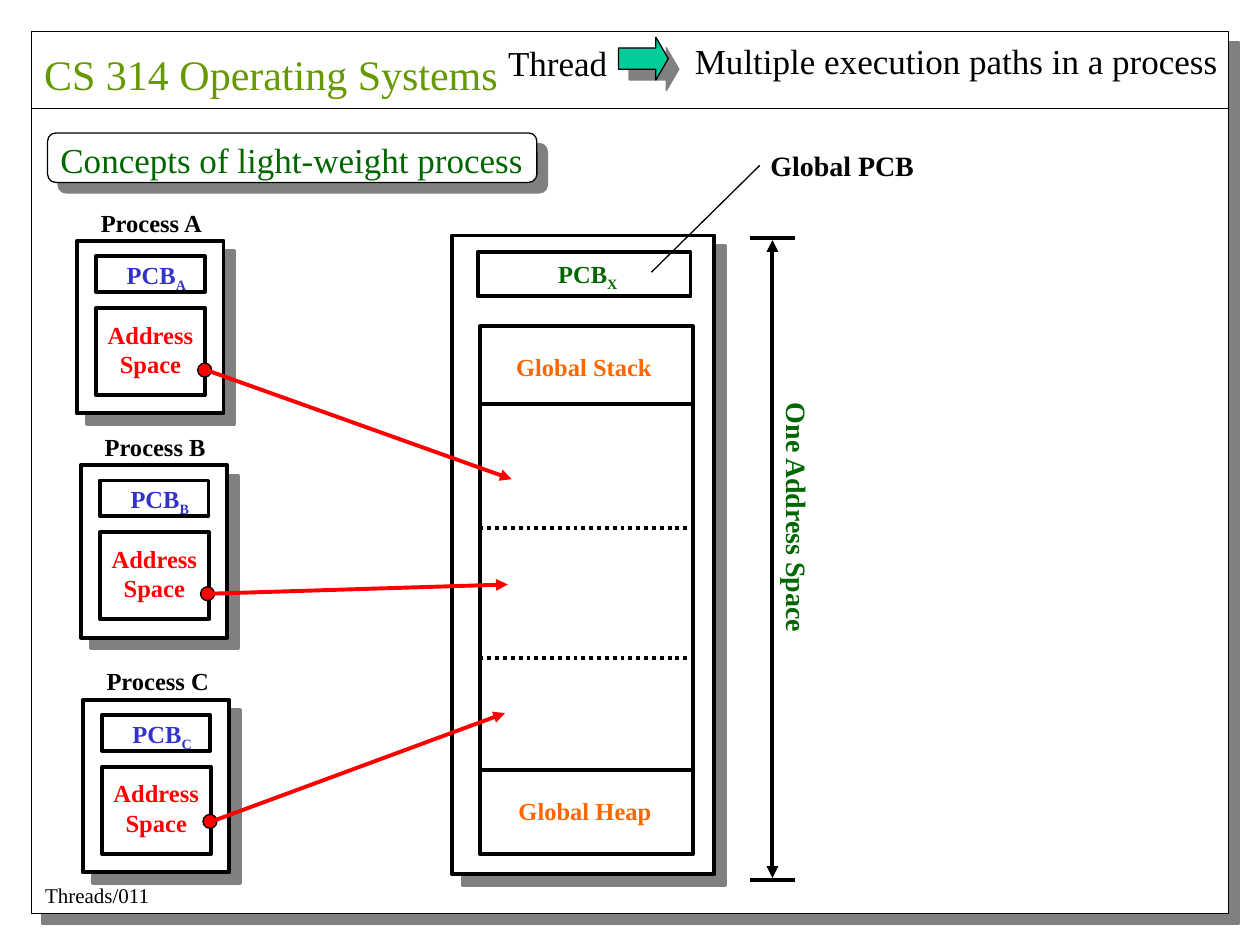
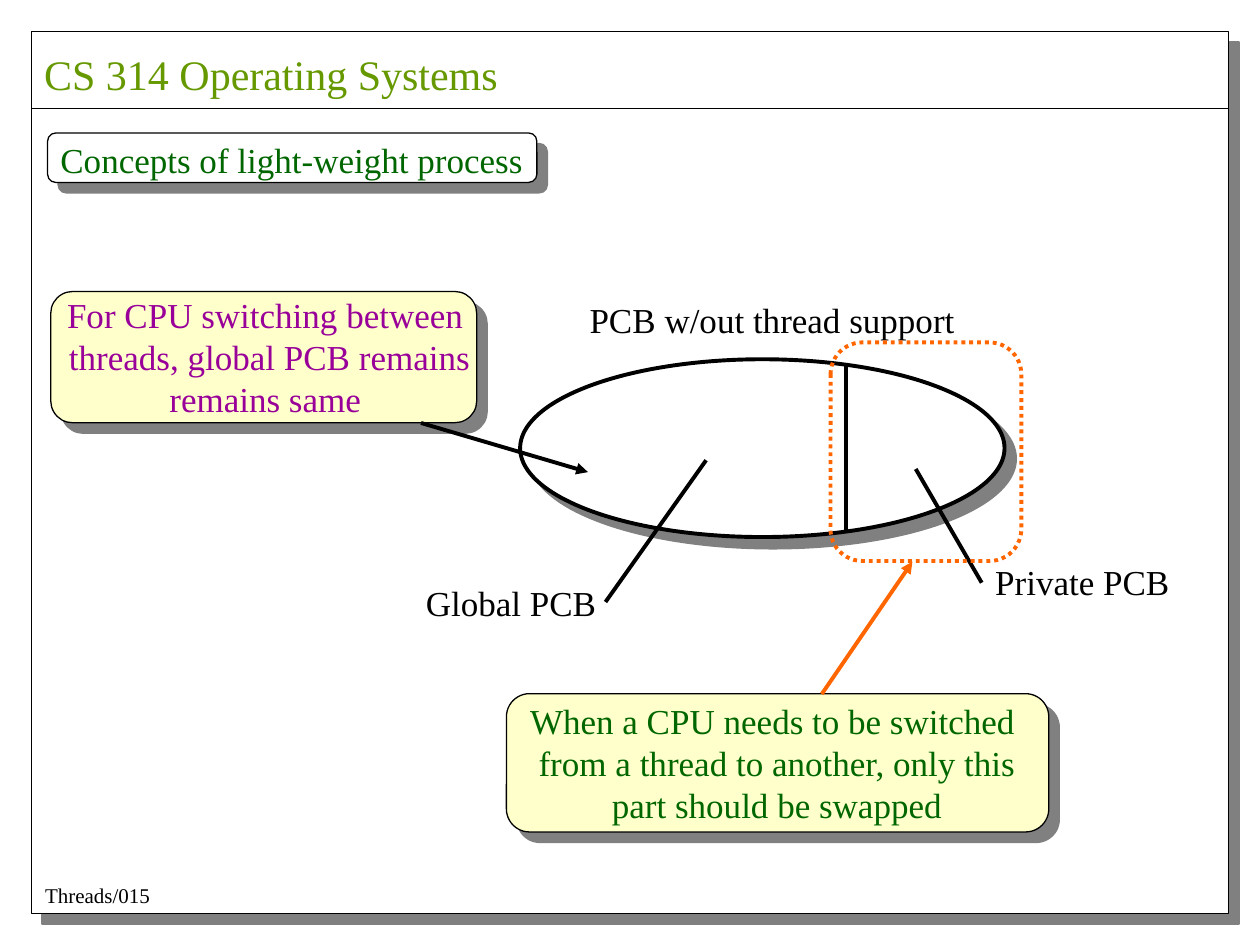
"""Build two operating-systems slides on light-weight processes."""
from dataclasses import dataclass

from lxml.etree import SubElement
from pptx import Presentation
from pptx.dml.color import RGBColor
from pptx.enum.dml import MSO_LINE
from pptx.enum.shapes import MSO_CONNECTOR, MSO_SHAPE as SHAPE
from pptx.enum.text import MSO_ANCHOR, MSO_AUTO_SIZE, PP_ALIGN as ALIGN
from pptx.oxml.ns import qn
from pptx.util import Pt


@dataclass(frozen=True)
class Theme:
    font: str = "Times New Roman"
    black: str = "000000"
    white: str = "FFFFFF"
    shadow: str = "808080"
    olive: str = "669900"
    green: str = "006600"
    teal: str = "00CC99"
    blue: str = "3333CC"
    red: str = "FF0000"
    orange: str = "FF6600"
    purple: str = "990099"
    cream: str = "FFFFCC"
    title: int = 24
    body: int = 20
    label: int = 16
    small: int = 14
    footer: int = 12
    thin: float = 0.75
    thick: float = 2.25
    shadow_offset: float = 8.5


THEME = Theme()
COURSE = "CS 314 Operating Systems"
TOPIC = "Concepts of light-weight process"
FRAME = (18, 18, 684, 504)
HEADER_Y = 62

PROCESSES = [
    {"name": "A", "corner": (44, 137.7), "link": ((118, 211.5), (292.4, 273.8))},
    {"name": "B", "corner": (46.2, 265.8), "link": ((119.6, 339.3), (290.2, 334))},
    {"name": "C", "corner": (47.3, 399.9), "link": ((121, 469.4), (288.6, 407.5))},
]
SPACE_LINES = ["Address", "Space"]
DOT = 8

MEMORY = (258.3, 134.6, 150, 365)
MEMORY_PCB = (272.9, 144, 121.7, 25.4)
MEMORY_SPACE = (274.3, 186.5, 121.7, 301.7)
DIVIDER_X = (274, 394.6)
DIVIDERS = [(231.1, None), (301.7, MSO_LINE.ROUND_DOT),
            (375.8, MSO_LINE.ROUND_DOT), (439.9, None)]
SECTIONS = [("Global Stack", (287.8, 197.5, 100, 24.2)),
            ("Global Heap", (289.2, 451.2, 100, 24.2))]
SPAN_X, SPAN_TOP, SPAN_BOTTOM, TICK = 441.4, 136.2, 502.7, 26

SWITCH_NOTE = ["For CPU switching between", " threads, global PCB remains", "remains same"]
SWAP_NOTE = ["When a CPU needs to be switched ", "from a thread to another, only this",
             "part should be swapped"]
NOTES = [
    (SWITCH_NOTE, THEME.purple, (29, 166.6, 243.4, 75), (21.6, 164.2, 260, 79.2)),
    (SWAP_NOTE, THEME.green, (289.4, 396.4, 309.9, 79), (289, 396, 310, 79.2)),
]
PCB_LABELS = [
    ("PCB w/out thread support", (329.8, 167, 230, 31.7)),
    ("Global PCB", (236.2, 328.5, 120, 31.7)),
    ("Private PCB", (561.6, 317, 120, 31.7)),
]
PCB_LINES = [
    ((483.4, 208.5), (483.4, 304)),
    ((346, 344), (403.5, 263)),
    ((561, 333), (523.3, 268)),
]


def rgb(color):
    """Turn a hex string into a colour."""
    return RGBColor.from_string(color)


def points(values):
    """Turn numbers into point lengths."""
    return [Pt(value) for value in values]


def shifted(corner, offset, size):
    """Return the box of a part placed relative to a corner."""
    return (corner[0] + offset[0], corner[1] + offset[1], *size)


def write(frame, lines, size, color, bold=False, align=ALIGN.LEFT, subscript=None):
    """Fill a text frame, one paragraph a line."""
    frame.word_wrap = False
    frame.auto_size = MSO_AUTO_SIZE.SHAPE_TO_FIT_TEXT
    frame.vertical_anchor = MSO_ANCHOR.TOP
    for index, line in enumerate(lines):
        paragraph = frame.add_paragraph() if index else frame.paragraphs[0]
        paragraph.alignment = align
        for text in filter(None, (line, subscript)):
            run = paragraph.add_run()
            run.text = text
            run.font.name = THEME.font
            run.font.size = Pt(size)
            run.font.bold = bold
            run.font.color.rgb = rgb(color)
            if text == subscript:
                run.font._element.set("baseline", "-25000")


def add_text(slide, box, lines, size, color=THEME.black, **style):
    """Add a text box and return it."""
    textbox = slide.shapes.add_textbox(*points(box))
    write(textbox.text_frame, lines, size, color, **style)
    return textbox


def add_box(slide, box, kind=SHAPE.RECTANGLE, fill=THEME.white, line=THEME.black,
            width=THEME.thick, shadow=False):
    """Add a filled outline, with a hard shadow if asked; return it."""
    shape = slide.shapes.add_shape(kind, *points(box))
    if fill:
        shape.fill.solid()
        shape.fill.fore_color.rgb = rgb(fill)
    else:
        shape.fill.background()
    shape.line.color.rgb = rgb(line)
    shape.line.width = Pt(width)
    shape.shadow.inherit = False
    if shadow:
        effects = shape._element.spPr.find(qn("a:effectLst"))
        outer = SubElement(effects, qn("a:outerShdw"), dist=str(Pt(THEME.shadow_offset)),
                           dir="2700000", algn="ctr", rotWithShape="0")
        SubElement(outer, qn("a:srgbClr"), val=THEME.shadow)
    return shape


def add_line(slide, start, end, color=THEME.black, width=THEME.thick, dash=None, arrows=()):
    """Add a straight line, with arrowheads at the named ends."""
    connector = slide.shapes.add_connector(MSO_CONNECTOR.STRAIGHT, *points((*start, *end)))
    connector.line.color.rgb = rgb(color)
    connector.line.width = Pt(width)
    if dash:
        connector.line.dash_style = dash
    for arrow in arrows:
        SubElement(connector.line._get_or_add_ln(), qn(f"a:{arrow}"), type="triangle")
    SubElement(connector._element.spPr, qn("a:effectLst"))


def add_base(deck, footer):
    """Add a slide with the shared frame, title, topic and footer."""
    slide = deck.slides.add_slide(deck.slide_layouts[5])
    left, _, width, _ = FRAME
    add_box(slide, FRAME, width=THEME.thin, shadow=True)
    add_line(slide, (left, HEADER_Y), (left + width, HEADER_Y), width=THEME.thin)
    title = slide.shapes.title
    title.left, title.top, title.width, title.height = points((18, 24, 290, 36))
    write(title.text_frame, [COURSE], THEME.title, THEME.olive)
    slide.shapes._spTree.append(title._element)
    add_text(slide, (18.7, 500.7, 80, 21.6), [footer], THEME.footer)
    add_box(slide, (27.2, 76, 279.6, 28.3), SHAPE.ROUNDED_RECTANGLE,
            width=THEME.thin, shadow=True)
    add_text(slide, (27.4, 75.8, 290, 31.7), [TOPIC], THEME.body, THEME.green)
    return slide


def add_process(slide, name, corner):
    """Draw one process with its PCB and address space."""
    add_box(slide, (*corner, 83.8, 98.6), shadow=True)
    add_box(slide, shifted(corner, (10.8, 8.8), (62.2, 20.2)))
    add_box(slide, shifted(corner, (11, 38.4), (62.2, 49.7)))
    add_text(slide, shifted(corner, (21.3, 7.2), (54, 26.6)), ["PCB"], THEME.small,
             THEME.blue, bold=True, subscript=name)
    add_text(slide, shifted(corner, (7, 41.4), (70, 41)), SPACE_LINES, THEME.small,
             THEME.red, bold=True, align=ALIGN.CENTER)
    add_text(slide, shifted(corner, (6.5, -22.6), (80, 24.5)), [f"Process {name}"],
             THEME.small, bold=True)


def add_address_span(slide):
    """Draw the vertical measure of the single address space."""
    add_line(slide, (SPAN_X, SPAN_TOP + 1), (SPAN_X, SPAN_BOTTOM - 1),
             arrows=("headEnd", "tailEnd"))
    for y in (SPAN_TOP, SPAN_BOTTOM):
        add_line(slide, (SPAN_X - TICK / 2, y), (SPAN_X + TICK / 2, y))
    caption = add_text(slide, (382.3, 283, 146.2, 26.6), ["One Address Space"],
                       THEME.label, THEME.green, bold=True)
    caption.rotation = 90


def build_shared_space(deck):
    """Show three processes sharing one address space."""
    slide = add_base(deck, "Threads/011")
    add_text(slide, (283.2, 20.2, 76, 31.7), ["Thread"], THEME.body)
    arrow = add_box(slide, (353.5, 21.3, 28.4, 24.5), SHAPE.RIGHT_ARROW, THEME.teal,
                    width=THEME.thin, shadow=True)
    arrow.adjustments[1] = 0.29
    add_text(slide, (390, 18.9, 318, 31.7), ["Multiple execution paths in a process"],
             THEME.body)
    add_box(slide, MEMORY, shadow=True)
    add_address_span(slide)
    for process in PROCESSES:
        add_process(slide, process["name"], process["corner"])
    add_box(slide, MEMORY_SPACE)
    add_box(slide, MEMORY_PCB)
    add_text(slide, (311.8, 144.5, 54, 26.6), ["PCB"], THEME.small, THEME.green,
             bold=True, subscript="X")
    for y, dash in DIVIDERS:
        add_line(slide, (DIVIDER_X[0], y), (DIVIDER_X[1], y), dash=dash)
    for name, box in SECTIONS:
        add_text(slide, box, [name], THEME.small, THEME.orange, bold=True)
    for process in PROCESSES:
        start, end = process["link"]
        add_box(slide, shifted(start, (-DOT / 2 - 1, -DOT / 2), (DOT, DOT)), SHAPE.OVAL,
                THEME.red, width=THEME.thin)
        add_line(slide, start, end, THEME.red, arrows=["tailEnd"])
    add_text(slide, (433.2, 81.5, 104, 26.6), ["Global PCB"], THEME.label, bold=True)
    add_line(slide, (434.2, 94.5), (372.2, 155.6), width=THEME.thin)


def build_split_pcb(deck):
    """Show the PCB split into a global and a private part."""
    slide = add_base(deck, "Threads/015")
    add_box(slide, (297.2, 205.3, 276.8, 101.6), SHAPE.OVAL, shadow=True)
    for label, box in PCB_LABELS:
        add_text(slide, box, [label], THEME.body)
    for start, end in PCB_LINES:
        add_line(slide, start, end)
    private_part = add_box(slide, (474.6, 195.7, 109, 124.9), SHAPE.ROUNDED_RECTANGLE,
                           fill=None, line=THEME.orange)
    private_part.line.dash_style = MSO_LINE.ROUND_DOT
    for lines, color, box, text_box in NOTES:
        add_box(slide, box, SHAPE.ROUNDED_RECTANGLE, THEME.cream,
                width=THEME.thin, shadow=True)
        add_text(slide, text_box, lines, THEME.body, color, align=ALIGN.CENTER)
    add_line(slide, (469.6, 396.6), (521.4, 321), THEME.orange, arrows=["tailEnd"])
    add_line(slide, (240.6, 241.7), (336, 269.8), arrows=["tailEnd"])


def main():
    """Build and save the deck."""
    deck = Presentation()
    deck.slide_width, deck.slide_height = points((720, 540))
    build_shared_space(deck)
    build_split_pcb(deck)
    deck.save("out.pptx")


if __name__ == "__main__":
    main()
